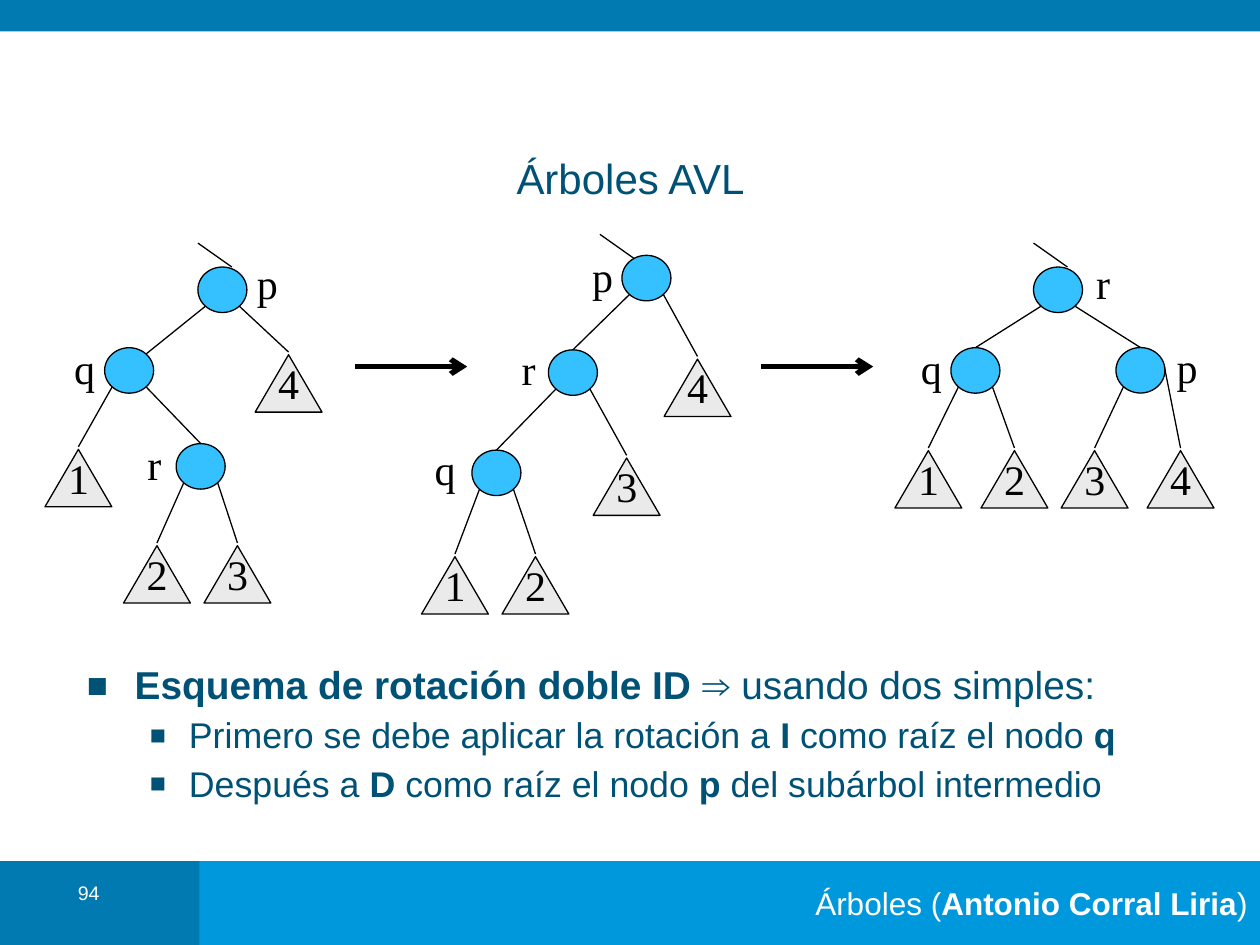
from dataclasses import dataclass
from typing import Optional

from lxml.etree import SubElement
from pptx import Presentation
from pptx.dml.color import RGBColor
from pptx.enum.shapes import MSO_CONNECTOR, MSO_SHAPE
from pptx.enum.text import MSO_ANCHOR, PP_ALIGN
from pptx.oxml.ns import qn
from pptx.util import Pt

COLORS = {
    "bar": "007AB1", "footer": "0098DC", "text": "005176", "white": "FFFFFF",
    "node": "35C0FF", "leaf": "EAEAEA", "black": "000000",
}


@dataclass
class Leaf:
    name: str
    x: float
    y: float
    tip: tuple = (0, -1.5)


@dataclass
class Node:
    name: str
    x: float
    y: float
    label: tuple
    left: object
    right: object
    tip: tuple = (0, -13)
    right_exit: tuple = (9.7, 9.4)
    stub: Optional[tuple] = None


class SlideBuilder:
    sans = "Arial"
    serif = "Times New Roman"
    thin = 0.75
    node_size = (28, 26)
    leaf_size = (38.2, 32.8)
    label_size = (26, 36)
    left_exit = (-9.7, 9.4)
    stub_run = (-19.4, -13.7)

    def __init__(self, prs):
        self.s = prs.slides.add_slide(prs.slide_layouts[6])

    def color(self, name):
        return RGBColor.from_string(COLORS[name])

    def shape(self, kind, box, fill, line=None):
        sp = self.s.shapes.add_shape(kind, *map(Pt, box))
        sp.shadow.inherit = False
        sp.fill.solid()
        sp.fill.fore_color.rgb = self.color(fill)
        if line:
            sp.line.color.rgb = self.color(line)
            sp.line.width = Pt(self.thin)
        else:
            sp.line.fill.background()
        return sp

    def line(self, start, end, width=thin, arrow=False):
        cx = self.s.shapes.add_connector(MSO_CONNECTOR.STRAIGHT, *map(Pt, (*start, *end)))
        cx.line.color.rgb = self.color("black")
        cx.line.width = Pt(width)
        spPr = cx._element.spPr
        SubElement(spPr, qn("a:effectLst"))
        if arrow:
            SubElement(spPr.find(qn("a:ln")), qn("a:tailEnd"), type="arrow")

    def frame(self, box, anchor=MSO_ANCHOR.MIDDLE, wrap=True):
        tf = self.s.shapes.add_textbox(*map(Pt, box)).text_frame
        tf.word_wrap = wrap
        tf.vertical_anchor = anchor
        return tf

    def add_text(self, p, parts, size, color, font=sans, **formats):
        for key, value in formats.items():
            setattr(p, key, value)
        for i, part in enumerate(parts):
            if not part:
                continue
            r = p.add_run()
            r.text = part
            style = {"name": font, "size": Pt(size), "bold": i % 2 == 1}
            for key, value in style.items():
                setattr(r.font, key, value)
            r.font.color.rgb = self.color(color)

    def bullet(self, p, margin, hang, percent):
        pPr = p._p.get_or_add_pPr()
        pPr.set("marL", str(Pt(margin)))
        pPr.set("indent", str(-Pt(hang)))
        clr = SubElement(pPr, qn("a:buClr"))
        SubElement(clr, qn("a:srgbClr"), val=COLORS["text"])
        SubElement(pPr, qn("a:buSzPct"), val=str(percent * 1000))
        SubElement(pPr, qn("a:buFont"), typeface=self.sans)
        SubElement(pPr, qn("a:buChar"), char="■")

    def label(self, text, x, y):
        w, h = self.label_size
        tf = self.frame((x - w / 2, y - h / 2, w, h), wrap=False)
        self.add_text(tf.paragraphs[0], [text], 24, "black", self.serif,
                      alignment=PP_ALIGN.CENTER)

    def leaf(self, leaf):
        w, h = self.leaf_size
        self.shape(MSO_SHAPE.ISOSCELES_TRIANGLE, (leaf.x - w / 2, leaf.y, w, h), "leaf", "black")
        self.label(leaf.name, leaf.x, leaf.y + 16)

    def tree(self, node):
        if isinstance(node, Leaf):
            self.leaf(node)
            return
        w, h = self.node_size
        x, y = node.x, node.y
        self.shape(MSO_SHAPE.OVAL, (x - w / 2, y - h / 2, w, h), "node", "black")
        self.label(node.name, x + node.label[0], y + node.label[1])
        if node.stub:
            end = (x + node.stub[0], y + node.stub[1])
            self.line((end[0] + self.stub_run[0], end[1] + self.stub_run[1]), end)
        for child, (dx, dy) in ((node.left, self.left_exit), (node.right, node.right_exit)):
            self.tree(child)
            self.line((x + dx, y + dy), (child.x + child.tip[0], child.y + child.tip[1]))


TREES = [
    Node("p", 127.1, 165.6, (25.6, -4.3),
         Node("q", 73.8, 211.7, (-25.5, -1.5),
              Leaf("1", 44.8, 256.8),
              Node("r", 114.7, 266.5, (-26.5, -1.5),
                   Leaf("2", 89.7, 311.8), Leaf("3", 135.7, 311.8)),
              tip=(9.7, -9.4)),
         Leaf("4", 164.9, 202.7), stub=(5.4, -13)),
    Node("p", 369.4, 158.9, (-25.2, -1.2),
         Node("r", 327.4, 212.9, (-25.4, -2),
              Node("q", 283.7, 270.2, (-29.5, -2.4),
                   Leaf("1", 260, 318.1), Leaf("2", 306, 318.1)),
              Leaf("3", 358.1, 261.7)),
         Leaf("4", 398.6, 205.2), stub=(-7.2, -11.3)),
    Node("r", 604.6, 165.6, (25.8, -4.3),
         Node("q", 557.4, 211.7, (-25.3, -1.5),
              Leaf("1", 530.5, 257.5), Leaf("2", 579.7, 257.5)),
         Node("p", 651.7, 211.6, (26.5, -2),
              Leaf("3", 625.5, 257.5), Leaf("4", 674.6, 257.5),
              right_exit=(13.7, -2)),
         stub=(5.4, -13)),
]

BULLETS = [
    (["", "Esquema de rotación doble ID ", "⇒ usando dos simples:"], 22.2, 0, (27.4, 27.4, 90)),
    (["Primero se debe aplicar la rotación a ", "I", " como raíz el nodo ", "q"],
     20.4, 1, (58.4, 22.4, 75)),
    (["Después a ", "D", " como raíz el nodo ", "p", " del subárbol intermedio"],
     20.4, 1, (58.4, 22.4, 75)),
]


def main():
    prs = Presentation()
    prs.slide_width, prs.slide_height = Pt(720), Pt(540)
    b = SlideBuilder(prs)

    b.shape(MSO_SHAPE.RECTANGLE, (0, 492, 132, 48), "bar")
    footer = b.shape(MSO_SHAPE.RECTANGLE, (114, 492, 606, 48), "footer")
    b.shape(MSO_SHAPE.RECTANGLE, (0, 0, 720, 18), "bar")
    tf = footer.text_frame
    tf.vertical_anchor = MSO_ANCHOR.MIDDLE
    b.add_text(tf.paragraphs[0], ["Árboles (", "Antonio Corral Liria", ")"], 18, "white",
               alignment=PP_ALIGN.RIGHT)

    tf = b.frame((25.2, 502.6, 51, 23), MSO_ANCHOR.TOP)
    b.add_text(tf.paragraphs[0], ["94"], 11.2, "white", alignment=PP_ALIGN.CENTER,
               line_spacing=0.8)
    tf = b.frame((59.8, 86.4, 601, 30.2))
    b.add_text(tf.paragraphs[0], ["Árboles AVL"], 24, "text", alignment=PP_ALIGN.CENTER)

    tf = b.frame((42.5, 377.3, 663, 103), MSO_ANCHOR.TOP)
    for i, (parts, size, level, bullet) in enumerate(BULLETS):
        p = tf.add_paragraph() if i else tf.paragraphs[0]
        b.bullet(p, *bullet)
        b.add_text(p, parts, size, "text", level=level, line_spacing=0.9,
                   space_before=Pt(5.5 if i else 0))

    for tree in TREES:
        b.tree(tree)
    for x in (203, 435):
        b.line((x, 209.5), (x + 64, 209.5), 3, arrow=True)

    prs.save("out.pptx")


if __name__ == "__main__":
    main()
